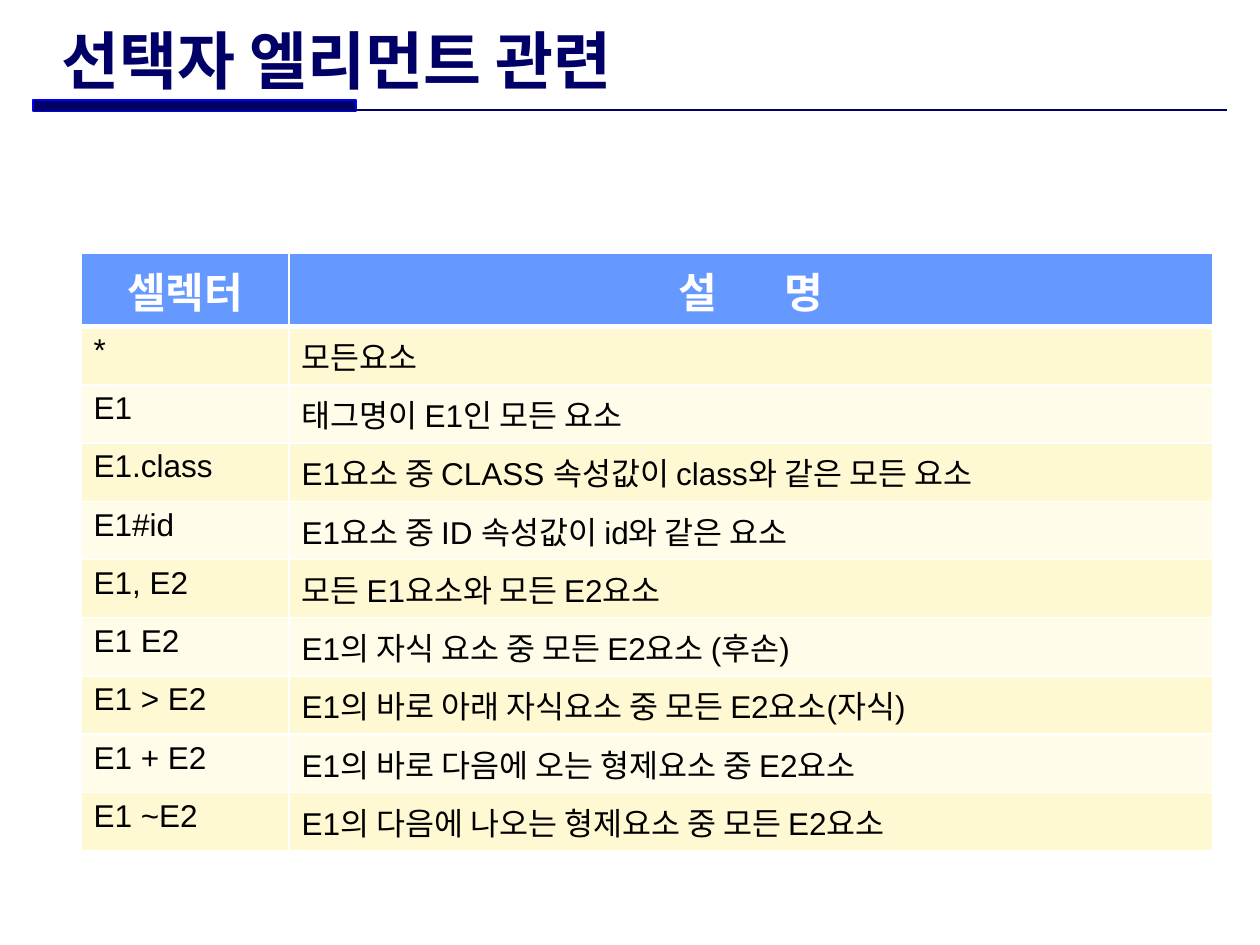
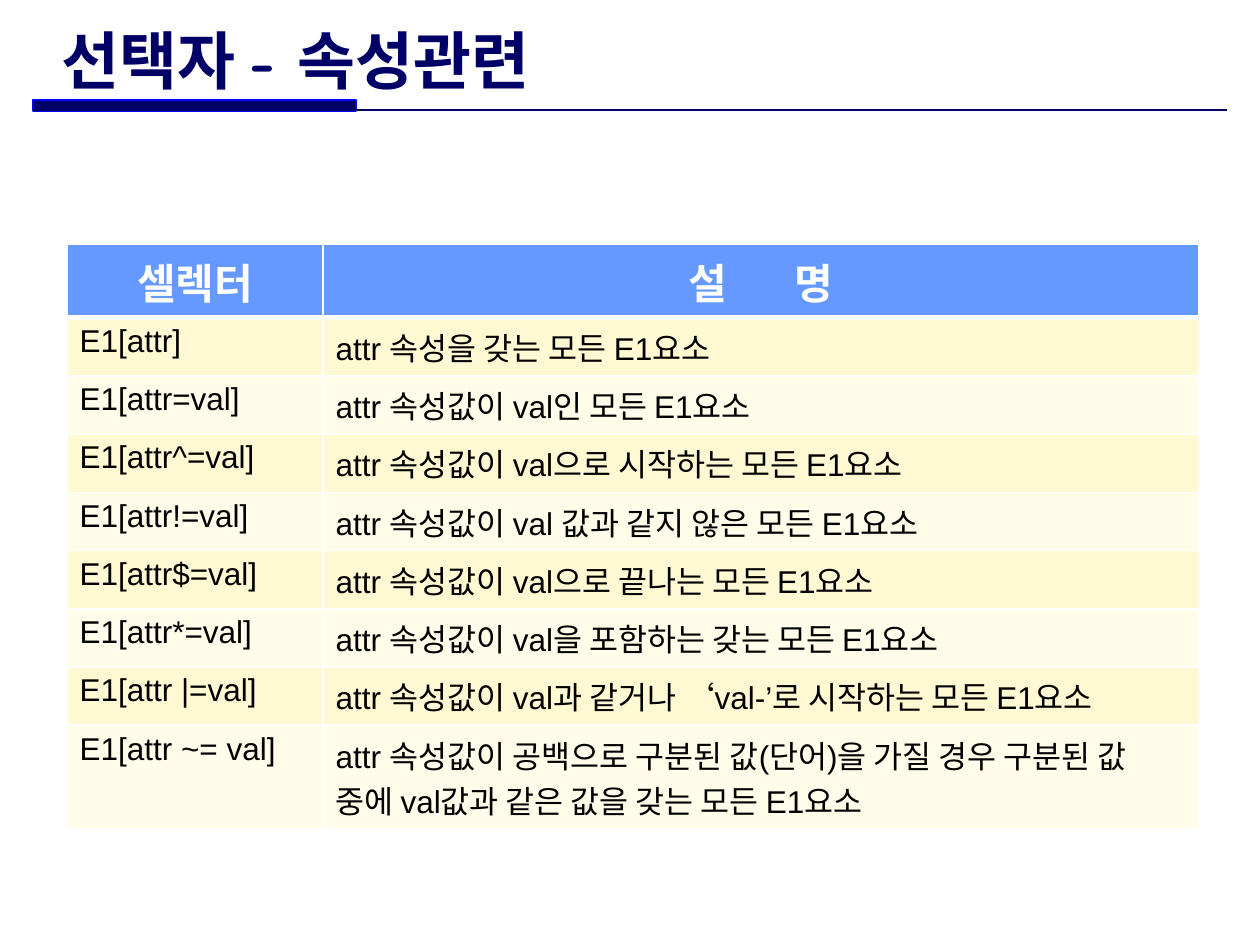
from dataclasses import dataclass
from lxml import etree
from pptx import Presentation
from pptx.dml.color import RGBColor
from pptx.enum.shapes import MSO_CONNECTOR, MSO_SHAPE
from pptx.enum.text import MSO_ANCHOR, MSO_AUTO_SIZE, PP_ALIGN
from pptx.oxml.ns import qn
from pptx.util import Emu, Pt

RECT = MSO_SHAPE.RECTANGLE
STRAIGHT = MSO_CONNECTOR.STRAIGHT
MIDDLE = MSO_ANCHOR.MIDDLE
NO_FIT = MSO_AUTO_SIZE.NONE
LEFT, CENTER = PP_ALIGN.LEFT, PP_ALIGN.CENTER
PX = 914400 / 126


@dataclass(frozen=True)
class Theme:
    navy: str = "000066"
    edge: str = "0000FF"
    head: str = "6699FF"
    odd: str = "FFF9D3"
    even: str = "FFFCEA"
    white: str = "FFFFFF"
    black: str = "000000"
    title_font: str = "Comic Neue"
    body_font: str = "Arial"
    title_size: int = 36
    head_size: int = 24
    body_size: int = 18
    thin: int = 1
    thick: int = 3


T = Theme()
rgb = RGBColor.from_string


def px(n):
    return Emu(round(n * PX))


def add_run(para, text, face, size, color, bold):
    run = para.add_run()
    run.text = text
    font = run.font
    font.name, font.size, font.bold = face, Pt(size), bold
    font.color.rgb = rgb(color)
    return run


# Slide content: title, table left and top, width of first column, rows
TABLE_W, ROW_H = 1132, 52
HEAD = ("셀렉터", "설 명")
PAGES = [
    ("선택자 엘리먼트 관련", 81, 253, 208, [
        ("*", "모든요소"),
        ("E1", "태그명이 E1인 모든 요소"),
        ("E1.class", "E1요소 중 CLASS 속성값이 class와 같은 모든 요소"),
        ("E1#id", "E1요소 중 ID 속성값이 id와 같은 요소"),
        ("E1, E2", "모든 E1요소와 모든 E2요소"),
        ("E1 E2", "E1의 자식 요소 중 모든 E2요소 (후손)"),
        ("E1 > E2", "E1의 바로 아래 자식요소 중 모든 E2요소(자식)"),
        ("E1 + E2", "E1의 바로 다음에 오는 형제요소 중 E2요소"),
        ("E1 ~E2", "E1의 다음에 나오는 형제요소 중 모든 E2요소"),
    ]),
    ("선택자 - 속성관련", 67, 244, 256, [
        ("E1[attr]", "attr 속성을 갖는 모든 E1요소"),
        ("E1[attr=val]", "attr 속성값이 val인 모든 E1요소"),
        ("E1[attr^=val]", "attr 속성값이 val으로 시작하는 모든 E1요소"),
        ("E1[attr!=val]", "attr 속성값이 val 값과 같지 않은 모든 E1요소"),
        ("E1[attr$=val]", "attr 속성값이 val으로 끝나는 모든 E1요소"),
        ("E1[attr*=val]", "attr 속성값이 val을 포함하는 갖는 모든 E1요소"),
        ("E1[attr |=val]", "attr 속성값이 val과 같거나 ‘val-’로 시작하는 모든 E1요소"),
        ("E1[attr ~= val]", "attr 속성값이 공백으로 구분된 값(단어)을 가질 경우 "
                            "구분된 값 중에 val값과 같은 값을 갖는 모든 E1요소"),
    ]),
]

deck = Presentation()
deck.slide_width, deck.slide_height = px(1260), px(945)

for name, left, top, key_w, rows in PAGES:
    slide = deck.slides.add_slide(deck.slide_layouts[5])

    # Band and rule under the title
    band = slide.shapes.add_shape(RECT, px(33), px(100), px(323), px(11))
    band.shadow.inherit = False
    band.fill.solid()
    band.fill.fore_color.rgb = rgb(T.navy)
    band.line.color.rgb = rgb(T.edge)
    band.line.width = Pt(0.75)
    rule = slide.shapes.add_connector(STRAIGHT, px(33), px(110), px(1227), px(110))
    rule.line.color.rgb = rgb(T.navy)
    rule.line.width = Pt(1.5)
    etree.SubElement(rule._element.spPr, qn("a:effectLst"))

    # Title
    title = slide.shapes.title
    title.left, title.top, title.width, title.height = px(49), px(26), px(856), px(66)
    frame = title.text_frame
    frame.word_wrap, frame.auto_size, frame.vertical_anchor = True, NO_FIT, MIDDLE
    para = frame.paragraphs[0]
    para.alignment = LEFT
    add_run(para, name, T.title_font, T.title_size, T.navy, True)

    # Table of selectors
    lines = [HEAD] + rows
    grid = slide.shapes.add_table(len(lines), 2, px(left), px(top),
                                  px(TABLE_W), px(ROW_H * len(lines))).table
    grid.first_row = grid.horz_banding = False
    grid.columns[0].width, grid.columns[1].width = px(key_w), px(TABLE_W - key_w)
    for r, texts in enumerate(lines):
        grid.rows[r].height = px(ROW_H)
        for c, text in enumerate(texts):
            cell = grid.cell(r, c)
            para = cell.text_frame.paragraphs[0]
            if r == 0:
                para.alignment = CENTER
                # The gap inside a heading is one widely spaced blank
                for part in text.partition(" "):
                    if part:
                        run = add_run(para, part, T.body_font, T.head_size, T.white, True)
                        if part == " ":
                            run.font._element.set("spc", "3300")
            else:
                add_run(para, text, T.body_font, T.body_size, T.black, False)
            cell.fill.solid()
            cell.fill.fore_color.rgb = rgb(T.head if r == 0 else T.odd if r % 2 else T.even)

            # White borders, thick below the heading
            props = cell._tc.get_or_add_tcPr()
            for i, side in enumerate(("lnL", "lnR", "lnT", "lnB")):
                thick = (r, side) in ((0, "lnB"), (1, "lnT"))
                edge = etree.Element(qn("a:" + side), w=str(Pt(T.thick if thick else T.thin)))
                fill = etree.SubElement(edge, qn("a:solidFill"))
                etree.SubElement(fill, qn("a:srgbClr"), val=T.white)
                props.insert(i, edge)

deck.save("out.pptx")
